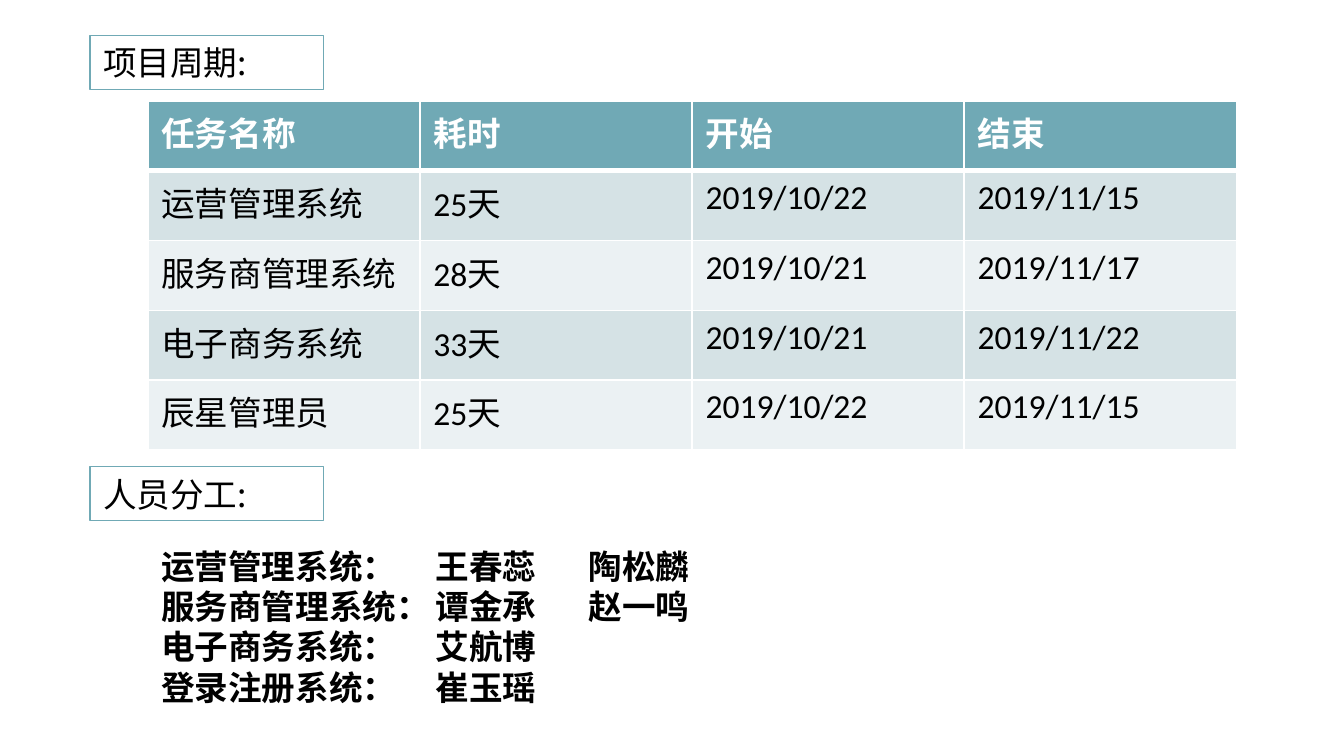
import pptx
import pptx.dml.color
import pptx.enum.shapes
import pptx.enum.text
import pptx.oxml
import pptx.oxml.ns
import pptx.util

Pt = pptx.util.Pt
TEAL, WHITE, BLACK = "70A9B5", "FFFFFF", "000000"
BANDS = ("D5E2E5", "EBF1F3")
LATIN, CHINESE = "Calibri", "Noto Sans CJK SC"
SCHEDULE = [
    ("任务名称", "耗时", "开始", "结束"),
    ("运营管理系统", "25天", "2019/10/22", "2019/11/15"),
    ("服务商管理系统", "28天", "2019/10/21", "2019/11/17"),
    ("电子商务系统", "33天", "2019/10/21", "2019/11/22"),
    ("辰星管理员", "25天", "2019/10/22", "2019/11/15"),
]
ASSIGNMENTS = [
    ("运营管理系统：", "王春蕊", "陶松麟"),
    ("服务商管理系统：", "谭金承", "赵一鸣"),
    ("电子商务系统：", "艾航博"),
    ("登录注册系统：", "崔玉瑶"),
]


def color(value):
    """Turn a hex string into a colour."""
    return pptx.dml.color.RGBColor.from_string(value)


def add_xml(parent, tag, **attributes):
    """Append a drawing element to its parent and return it."""
    element = pptx.oxml.parse_xml(f"<{tag} {pptx.oxml.ns.nsdecls('a')}/>")
    for name, value in attributes.items():
        element.set(name, str(value))
    parent.append(element)
    return element


def format_runs(text_frame, name=LATIN, value=BLACK, bold=False):
    """Give every run of a text frame the same font."""
    for paragraph in text_frame.paragraphs:
        for run in paragraph.runs:
            run.font.name = name
            run.font.size = Pt(18)
            run.font.bold = bold
            run.font.color.rgb = color(value)


def add_label(slide, text, left, top, width, height):
    """Add an outlined section label."""
    shape = slide.shapes.add_shape(
        pptx.enum.shapes.MSO_SHAPE.RECTANGLE, Pt(left), Pt(top), Pt(width), Pt(height))
    shape.shadow.inherit = False
    shape.fill.background()
    shape.line.color.rgb = color(TEAL)
    shape.line.width = Pt(0.75)
    text_frame = shape.text_frame
    text_frame.word_wrap = True
    text_frame.vertical_anchor = pptx.enum.text.MSO_ANCHOR.MIDDLE
    text_frame.text = text
    text_frame.paragraphs[0].alignment = pptx.enum.text.PP_ALIGN.LEFT
    format_runs(text_frame, CHINESE)


def add_borders(cell, header):
    """Draw white cell borders, with a thick rule below the header."""
    properties = cell._tc.get_or_add_tcPr()
    for side in "LRTB":
        width = 3 if header and side == "B" else 1
        line = add_xml(properties, f"a:ln{side}", w=int(Pt(width)))
        add_xml(add_xml(line, "a:solidFill"), "a:srgbClr", val=WHITE)


def add_schedule(slide, rows, left, top, width, height):
    """Add the banded schedule table."""
    table = slide.shapes.add_table(
        len(rows), len(rows[0]), Pt(left), Pt(top), Pt(width), Pt(height)).table
    for row_index, values in enumerate(rows):
        header = row_index == 0
        fill = TEAL if header else BANDS[(row_index - 1) % 2]
        for column_index, value in enumerate(values):
            cell = table.cell(row_index, column_index)
            cell.text = value
            format_runs(cell.text_frame, LATIN, WHITE if header else BLACK, header)
            for run in cell.text_frame.paragraphs[0].runs:
                add_xml(run.font._element, "a:ea", typeface=CHINESE)
            add_borders(cell, header)
            cell.fill.solid()
            cell.fill.fore_color.rgb = color(fill)


def add_assignments(slide, rows, left, top, width, height):
    """Add the staff list with names aligned at tab stops."""
    text_frame = slide.shapes.add_textbox(
        Pt(left), Pt(top), Pt(width), Pt(height)).text_frame
    text_frame.word_wrap = True
    text_frame.text = "\n".join("\t".join(row) for row in rows)
    for paragraph in text_frame.paragraphs:
        tabs = add_xml(paragraph._p.get_or_add_pPr(), "a:tabLst")
        for position in (147, 229):
            add_xml(tabs, "a:tab", pos=int(Pt(position)), algn="l")
    format_runs(text_frame, bold=True)


def main():
    """Build and save the slide."""
    presentation = pptx.Presentation()
    presentation.slide_width, presentation.slide_height = Pt(720), Pt(405)
    slide = presentation.slides.add_slide(presentation.slide_layouts[6])
    add_schedule(slide, SCHEDULE, 79.2, 54, 583.2, 187.2)
    add_assignments(slide, ASSIGNMENTS, 79.2, 288.7, 304, 94.3)
    for text, top in (("项目周期:", 19), ("人员分工:", 250)):
        add_label(slide, text, 48.2, top, 125.3, 29)
    presentation.save("out.pptx")


if __name__ == "__main__":
    main()
